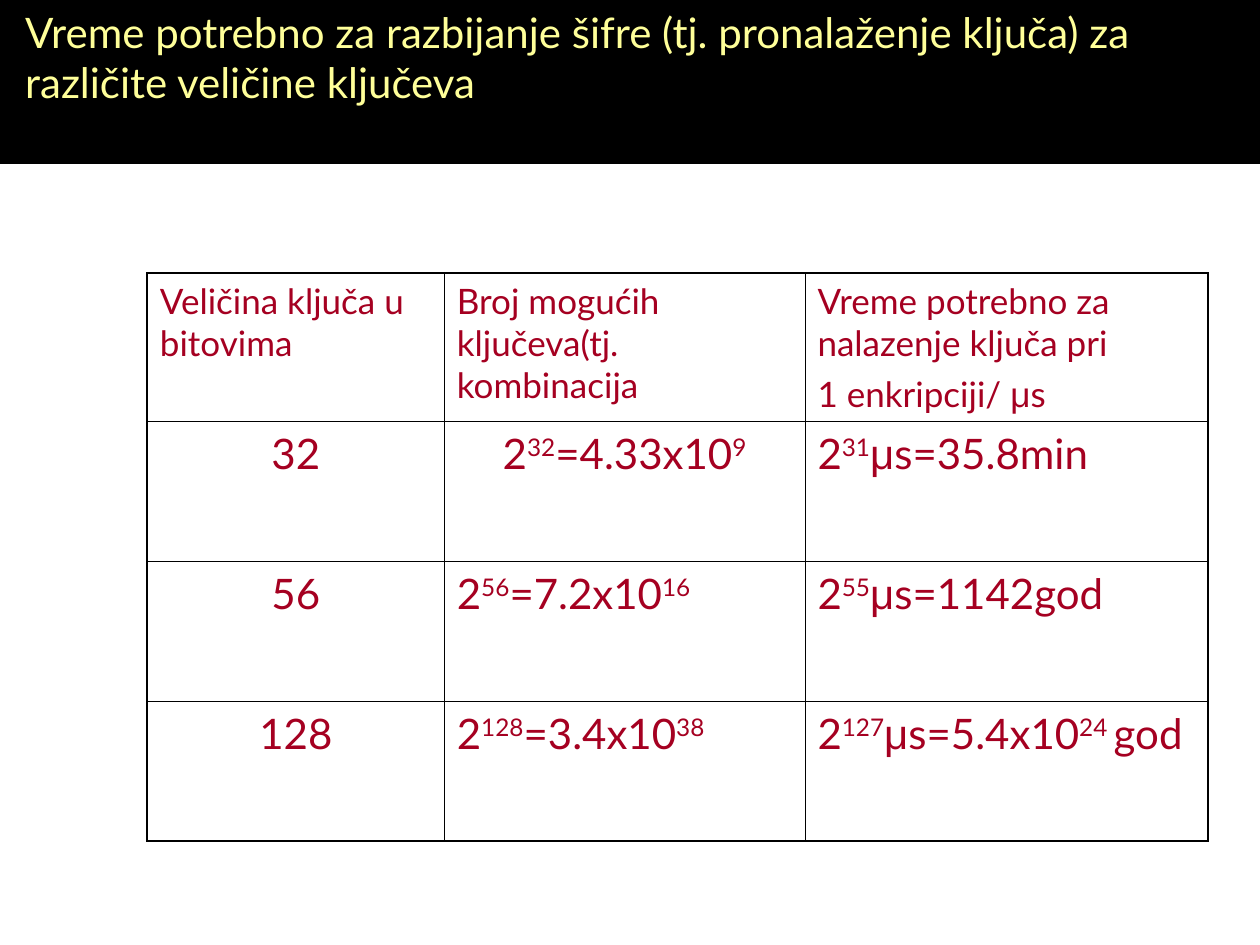
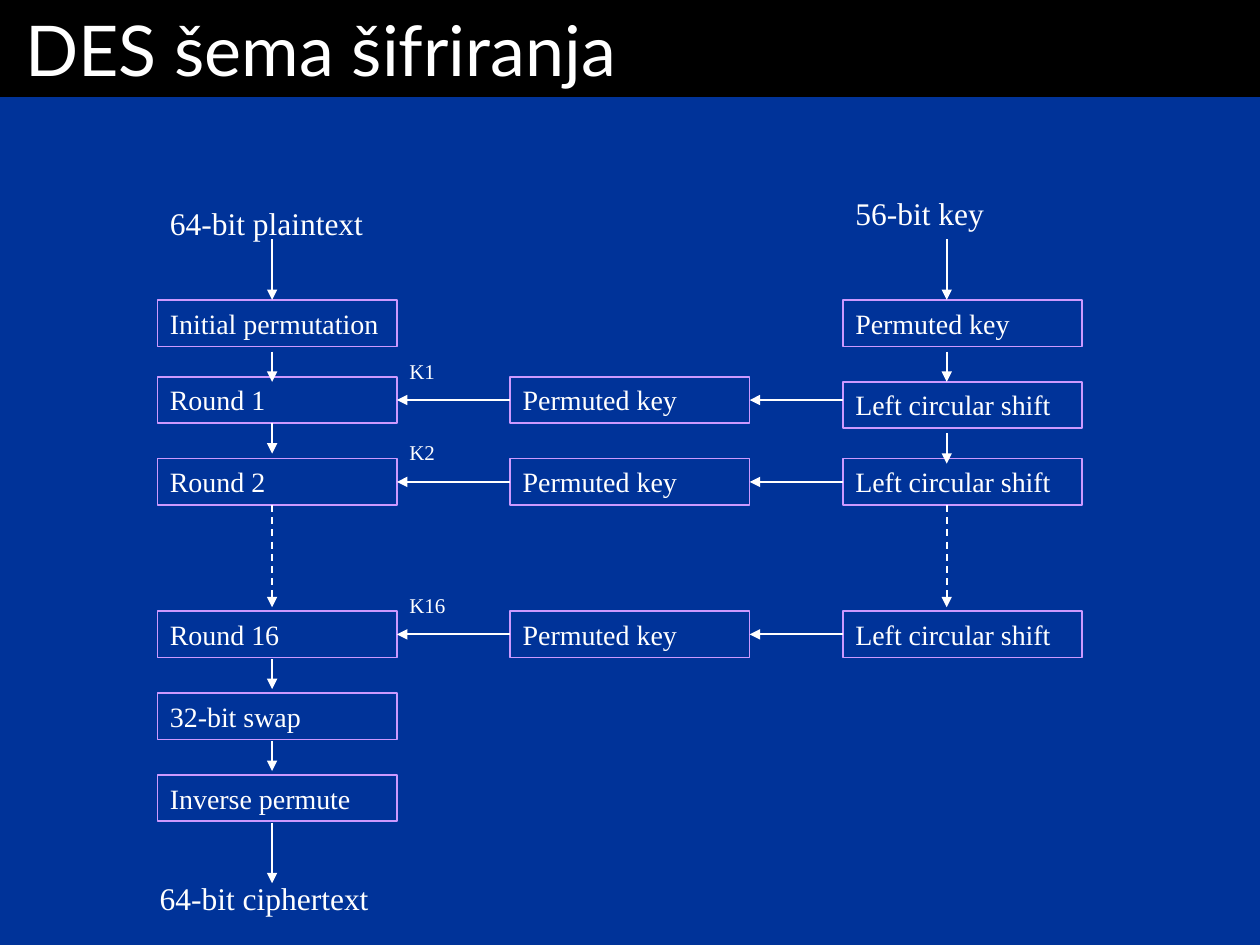
from collections import namedtuple

from lxml import etree
from pptx import Presentation
from pptx.dml.color import RGBColor
from pptx.enum import dml, shapes, text
from pptx.oxml import ns
from pptx.util import Pt

Box = namedtuple("Box", "left top width height")

BLACK = RGBColor(0x00, 0x00, 0x00)
WHITE = RGBColor(0xFF, 0xFF, 0xFF)
BLUE = RGBColor(0x00, 0x33, 0x99)
YELLOW = RGBColor(0xFF, 0xFF, 0x99)
CRIMSON = RGBColor(0xA5, 0x00, 0x21)
LILAC = RGBColor(0xCC, 0x99, 0xFF)
SANS, SERIF, GREEK = "Lato", "Times New Roman", "Arial"

STEP_WIDTH, STEP_HEIGHT = 136.8, 26.6
ROUND_LANE, SUBKEY_LANE, KEY_LANE = 0, 201.6, 391.7
ROUND_TOPS = (108, 154.8, 241.9)
SHIFT_TOPS = (110.9, 154.8, 241.9)

HEADINGS = (
    "Veličina ključa u bitovima",
    "Broj mogućih ključeva(tj. kombinacija",
    "Vreme potrebno za nalazenje ključa pri\n1 enkripciji/ μs",
)
KEY_SIZES = (
    ("32", "2^32^=4.33x10^9", "2^31^μs=35.8min"),
    ("56", "2^56^=7.2x10^16", "2^55^μs=1142god"),
    ("128", "2^128^=3.4x10^38", "2^127^μs=5.4x10^24 ^god"),
)


def style(font, name, size, color):
    """Set the face, size and colour of a font."""
    font.name, font.size, font.color.rgb = name, Pt(size), color


def set_margins(frame, side=7.2):
    """Wrap text from the top of its frame, at a fixed size."""
    frame.word_wrap = True
    frame.auto_size = text.MSO_AUTO_SIZE.NONE
    frame.vertical_anchor = text.MSO_ANCHOR.TOP
    frame.margin_left = frame.margin_right = Pt(side)
    frame.margin_top = frame.margin_bottom = Pt(3.6)


def add_page(deck, background, wording, height, size, color):
    """Add a page with a black title band across its top."""
    page = deck.slides.add_slide(deck.slide_layouts[5])
    page.background.fill.solid()
    page.background.fill.fore_color.rgb = background
    title = page.shapes.title
    title.left, title.top = Pt(0), Pt(0)
    title.width, title.height = deck.slide_width, Pt(height)
    title.fill.solid()
    title.fill.fore_color.rgb = BLACK
    set_margins(title.text_frame, 14.4)
    title.text_frame.text = wording
    para = title.text_frame.paragraphs[0]
    para.alignment = text.PP_ALIGN.LEFT
    style(para.runs[0].font, SANS, size, color)
    return page


def set_borders(cell, widths):
    """Draw the left, right, top and bottom borders of a cell."""
    properties = cell._tc.get_or_add_tcPr()
    for side, width in zip("LRTB", widths):
        line = etree.SubElement(properties, ns.qn(f"a:ln{side}"), w=str(Pt(width)))
        fill = etree.SubElement(line, ns.qn("a:solidFill"))
        etree.SubElement(fill, ns.qn("a:srgbClr"), val=str(BLACK))


def write_powers(para, wording, size):
    """Write a paragraph whose carets switch superscript on and off."""
    for index, part in enumerate(wording.split("^")):
        for piece in filter(None, part.partition("μ")):
            span = para.add_run()
            span.text = piece
            style(span.font, GREEK if piece == "μ" else SANS, size, CRIMSON)
            if index % 2:
                span.font._element.set("baseline", "30000")


def add_key_table(page, box):
    """Compare key sizes, key counts and search times."""
    rows = (HEADINGS, *KEY_SIZES)
    last_row, last_column = len(rows) - 1, len(HEADINGS) - 1
    frame = page.shapes.add_table(
        len(rows), len(HEADINGS), *(Pt(length) for length in box))
    table = frame.table
    table.first_row = table.horz_banding = False
    for column, share in zip(table.columns, (0.28, 0.34, 0.38)):
        column.width = Pt(round(box.width * share, 1))
    for row, share in zip(table.rows, (0.26, 0.247, 0.247, 0.246)):
        row.height = Pt(round(box.height * share, 1))
    for r, wordings in enumerate(rows):
        for c, wording in enumerate(wordings):
            cell = table.cell(r, c)
            edges = (c == 0, c == last_column, r == 0, r == last_row)
            set_borders(cell, [1.08 if edge else 0.45 for edge in edges])
            cell.fill.background()
            for index, line in enumerate(wording.split("\n")):
                para = cell.text_frame.paragraphs[0]
                if index:
                    para = cell.text_frame.add_paragraph()
                    para.space_before = Pt(5)
                if r and c == 0 or (r, c) == (1, 1):
                    para.alignment = text.PP_ALIGN.CENTER
                write_powers(para, line, 24 if r else 20)


def write_line(shape, wording, size):
    """Put one line of white serif text in a shape."""
    set_margins(shape.text_frame)
    shape.text_frame.text = wording
    para = shape.text_frame.paragraphs[0]
    para.alignment = text.PP_ALIGN.LEFT
    style(para.runs[0].font, SERIF, size, WHITE)


def add_step(page, box, left, top, wording):
    """Add an outlined step of the cipher and return it."""
    step = page.shapes.add_shape(
        shapes.MSO_SHAPE.RECTANGLE, Pt(box.left + left), Pt(box.top + top),
        Pt(STEP_WIDTH), Pt(STEP_HEIGHT))
    step.shadow.inherit = False
    step.fill.background()
    step.line.color.rgb = LILAC
    step.line.width = Pt(1)
    write_line(step, wording, 16)
    return step


def add_label(page, box, place, wording, size):
    """Add a plain label at a place within the box."""
    left, top, width, height = place
    label = page.shapes.add_textbox(
        Pt(box.left + left), Pt(box.top + top), Pt(width), Pt(height))
    write_line(label, wording, size)


def add_arrow(page, box, start, end, dashed=False):
    """Add a white arrow between two points of the box."""
    points = [Pt(round(origin + offset, 2)) for point in (start, end)
              for origin, offset in zip(box, point)]
    arrow = page.shapes.add_connector(shapes.MSO_CONNECTOR.STRAIGHT, *points)
    arrow.line.color.rgb = WHITE
    arrow.line.width = Pt(1)
    if dashed:
        arrow.line.dash_style = dml.MSO_LINE.DASH
    line = arrow.line._get_or_add_ln()
    etree.SubElement(line, ns.qn("a:tailEnd"), type="triangle")
    etree.SubElement(arrow._element.spPr, ns.qn("a:effectLst"))
    return arrow


def add_down_arrows(page, box, across, spans):
    """Add the downward arrows of a lane, dashed across the skipped rounds."""
    for top, bottom in spans:
        add_arrow(page, box, (across, top), (across, bottom),
                  dashed=bottom - top > 50)


def add_round_row(page, box, number, round_top, shift_top):
    """Add one round, its subkey and the key shift that feeds it."""
    cipher_round = add_step(page, box, ROUND_LANE, round_top, f"Round {number}")
    subkey = add_step(page, box, SUBKEY_LANE, round_top, "Permuted key")
    shift = add_step(page, box, KEY_LANE, shift_top, "Left circular shift")
    middle = round_top + STEP_HEIGHT / 2
    for source, target, left in ((subkey, cipher_round, ROUND_LANE),
                                 (shift, subkey, SUBKEY_LANE)):
        start = SUBKEY_LANE if source is subkey else KEY_LANE
        arrow = add_arrow(page, box, (start, middle), (left + STEP_WIDTH, middle))
        if source.top == target.top:
            arrow.begin_connect(source, 1)
        arrow.end_connect(target, 3)
    add_label(page, box, (STEP_WIDTH, round_top - 14.2, 64.8, 21.6),
              f"K{number}", 12)


def add_cipher_diagram(page, box):
    """Draw the plaintext lane, the key lane and the rounds between them."""
    for left, top, wording in (
            (ROUND_LANE, 64.1, "Initial permutation"),
            (ROUND_LANE, 288.7, "32-bit swap"),
            (ROUND_LANE, 335.5, "Inverse permute"),
            (KEY_LANE, 64.1, "Permuted key")):
        add_step(page, box, left, top, wording)
    for number, round_top, shift_top in zip((1, 2, 16), ROUND_TOPS, SHIFT_TOPS):
        add_round_row(page, box, number, round_top, shift_top)
    entry, skipped = ((29.5, 64.1), (93.6, 110.9)), (181.4, 239.7)
    add_down_arrows(page, box, 65.5, (
        *entry, (134.6, 151.9), skipped, (269.3, 286.5), (316.1, 333.3),
        (362.9, 397.4)))
    add_down_arrows(page, box, 451, (*entry, (140.4, 157.7), skipped))
    for place, wording in (
            ((ROUND_LANE, 5.8, 130.3, 28.8), "64-bit plaintext"),
            ((ROUND_LANE - 5.8, 391.7, 142.6, 28.8), "64-bit ciphertext"),
            ((KEY_LANE, 0, 130.3, 28.8), "56-bit key")):
        add_label(page, box, place, wording, 18)


def main():
    """Build and save both pages."""
    deck = Presentation()
    deck.slide_width, deck.slide_height = Pt(720), Pt(540)
    page = add_page(
        deck, WHITE,
        "Vreme potrebno za razbijanje šifre (tj. pronalaženje ključa) za "
        "različite veličine ključeva", 93.6, 24, YELLOW)
    add_key_table(page, Box(84.2, 156.2, 606.2, 324))
    page = add_page(deck, BLUE, "DES šema šifriranja", 55.4, 40, WHITE)
    add_cipher_diagram(page, Box(90, 107.3, 528.5, 420.5))
    deck.save("out.pptx")


if __name__ == "__main__":
    main()
